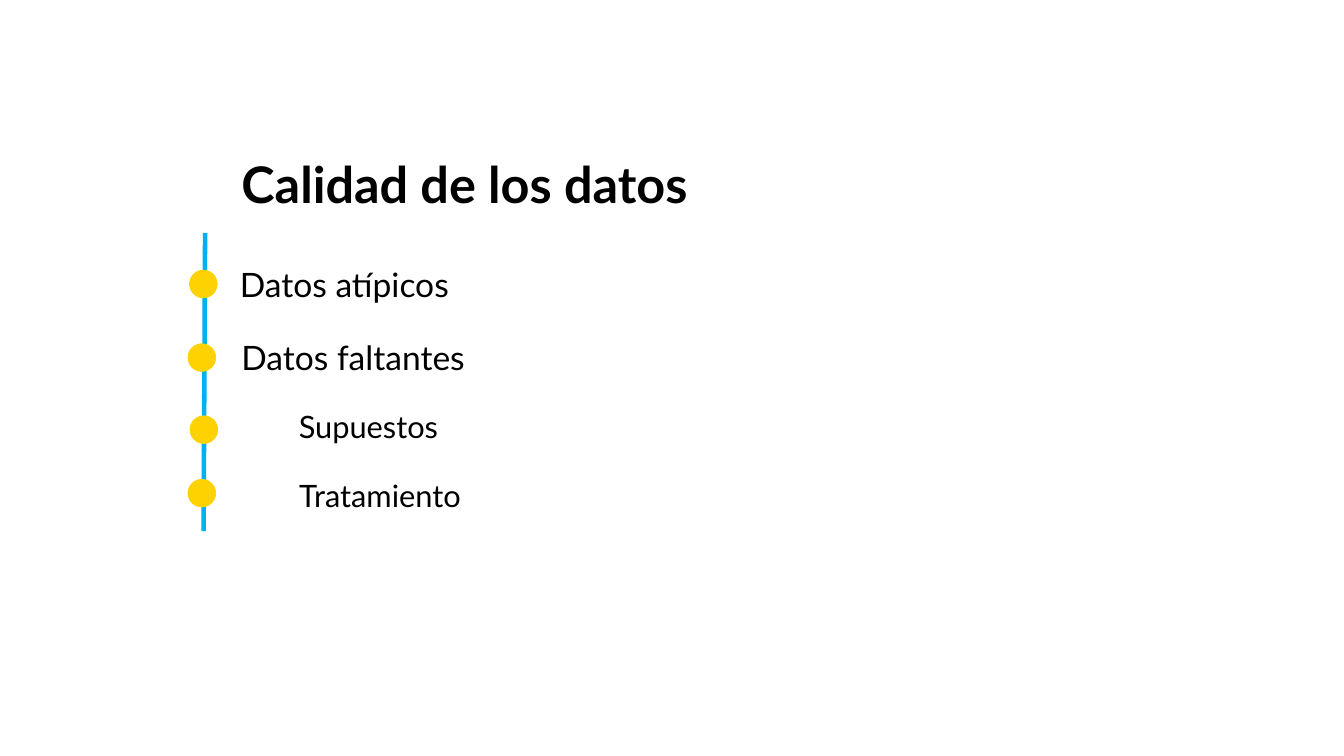
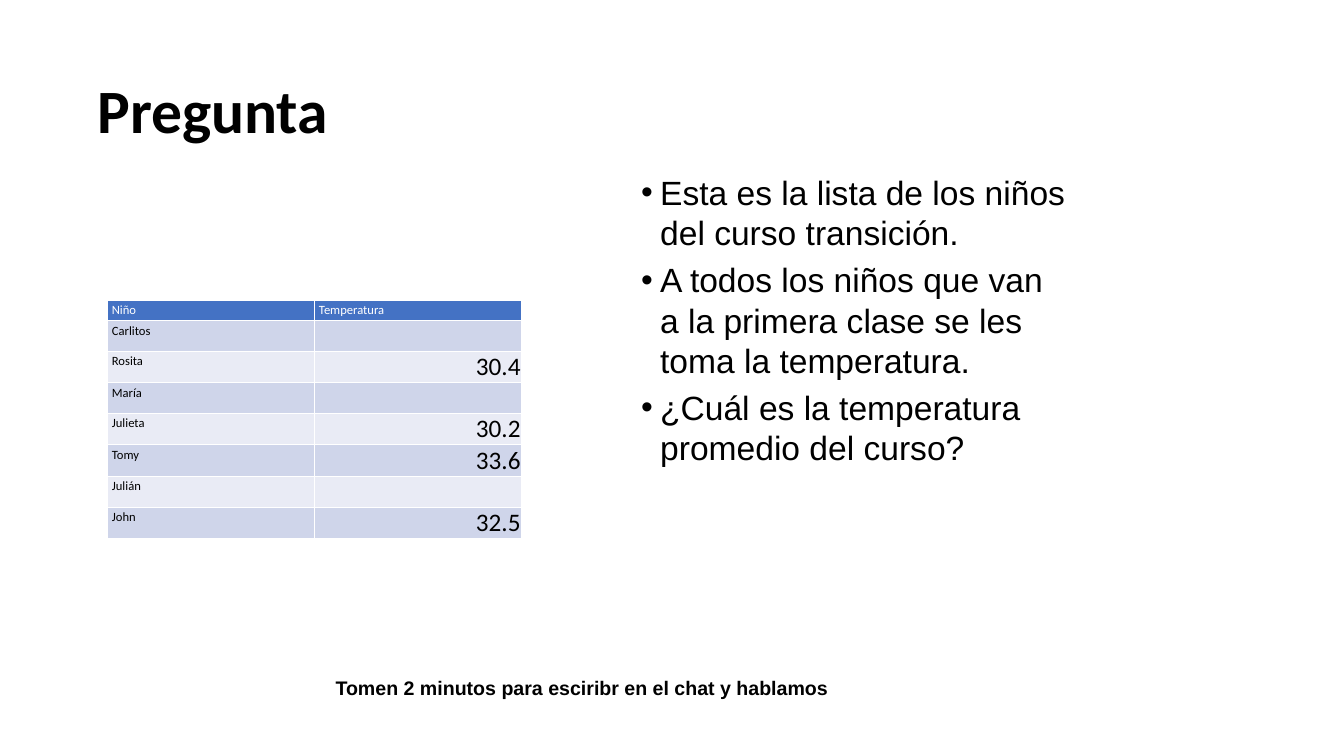
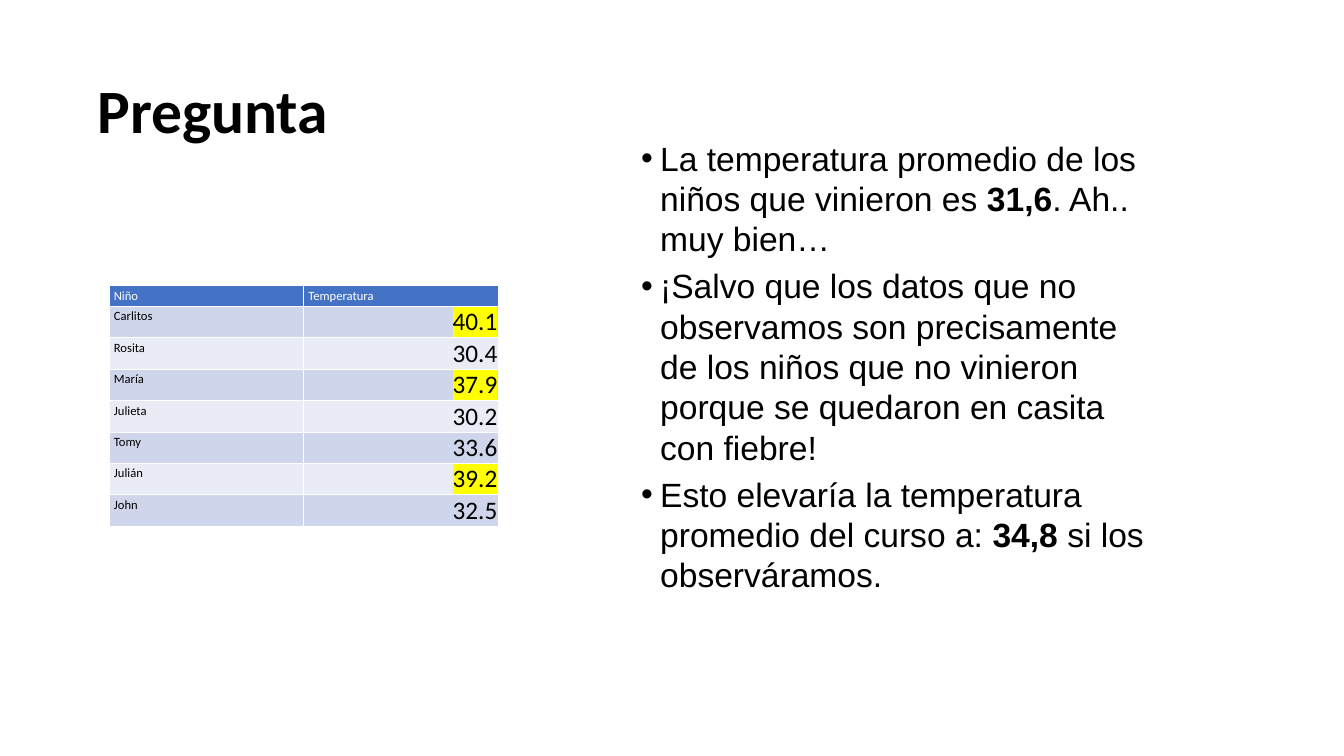
from lxml import etree
from pptx import Presentation
from pptx import util as u
from pptx.dml.color import RGBColor
from pptx.enum import shapes, text
from pptx.oxml import ns

BLACK, WHITE, YELLOW = "000000", "FFFFFF", "FFFF00"
LINE_BLUE, DOT_YELLOW = "00B0F0", "FED200"
HEADER_BLUE, BANDS = "4472C4", ("CFD5EA", "E9EBF5")
CHILDREN = ("Carlitos", "Rosita", "María", "Julieta", "Tomy", "Julián", "John")
PRESENT = {"Rosita": "30.4", "Julieta": "30.2", "Tomy": "33.6", "John": "32.5"}
ABSENT = {"Carlitos": "40.1", "María": "37.9", "Julián": "39.2"}
TITLE_ONLY, TITLE_AND_LIST = 5, 1


def rgb(value):
    """Turn a hex string into a colour."""
    return RGBColor.from_string(value)


def assign(target, values):
    """Set every named attribute on the target."""
    for name, value in values.items():
        setattr(target, name, value)


def add_xml(parent, tag, **attributes):
    """Append one DrawingML element."""
    return etree.SubElement(parent, ns.qn(tag), attributes)


class Lesson:
    """Hold the shared style and the current slide."""

    def __init__(self):
        """Start a wide deck."""
        self.deck = Presentation()
        assign(self.deck, {"slide_width": u.Inches(26.67), "slide_height": u.Inches(15)})
        self.page = None

    def add_page(self, layout):
        """Start a slide on a template layout."""
        self.page = self.deck.slides.add_slide(self.deck.slide_layouts[layout])

    def place(self, box, left, top, width, height):
        """Move and size a shape."""
        sides = {"left": left, "top": top, "width": width, "height": height}
        assign(box, {name: u.Inches(value) for name, value in sides.items()})

    def add_span(self, para, words, size, font, colour=BLACK, bold=False, **layout):
        """Add one formatted span to a paragraph."""
        assign(para, layout)
        span = para.add_run()
        span.text = words
        assign(span.font, {"size": u.Pt(size), "name": font, "bold": bold})
        span.font.color.rgb = rgb(colour)
        return span

    def title(self, words, area, size, font, anchor):
        """Fill the title placeholder."""
        box = self.page.shapes.title
        self.place(box, *area)
        assign(box.text_frame, {"vertical_anchor": anchor, "word_wrap": True,
                                "auto_size": text.MSO_AUTO_SIZE.NONE})
        self.add_span(box.text_frame.paragraphs[0], words, size, font, bold=True,
                      alignment=text.PP_ALIGN.LEFT, line_spacing=0.9)

    def label(self, words, area, size, font, bold=False, align=text.PP_ALIGN.LEFT):
        """Add a text box that grows with its text."""
        box = self.page.shapes.add_textbox(*map(u.Inches, area))
        assign(box.text_frame, {"word_wrap": True,
                                "auto_size": text.MSO_AUTO_SIZE.SHAPE_TO_FIT_TEXT})
        self.add_span(box.text_frame.paragraphs[0], words, size, font, bold=bold,
                      alignment=align)

    def bullets(self, items, area):
        """Fill the body placeholder; odd pieces of an item are bold."""
        box = self.page.placeholders[1]
        self.place(box, *area)
        frame = box.text_frame
        assign(frame, {"word_wrap": True, "auto_size": text.MSO_AUTO_SIZE.NONE,
                       "vertical_anchor": text.MSO_ANCHOR.TOP,
                       "margin_left": u.Inches(0.2), "margin_right": u.Inches(0.2),
                       "margin_top": u.Inches(0.1), "margin_bottom": u.Inches(0.1)})
        for index, pieces in enumerate(items):
            para = frame.add_paragraph() if index else frame.paragraphs[0]
            props = para._p.get_or_add_pPr()
            indent = u.Inches(0.38)
            props.set("marL", str(indent))
            props.set("indent", str(-indent))
            add_xml(props, "a:buFont", typeface="Arial")
            add_xml(props, "a:buChar", char="•")
            para.space_before = u.Pt(9.6 if index else 0)
            for number, piece in enumerate(pieces):
                self.add_span(para, piece, 48, "Arial", bold=number % 2 == 1)

    def line(self, start, end):
        """Draw the timeline."""
        line = self.page.shapes.add_connector(
            shapes.MSO_CONNECTOR.STRAIGHT, *map(u.Inches, start + end))
        line.line.color.rgb = rgb(LINE_BLUE)
        line.line.width = u.Pt(6.5)
        add_xml(line._element.spPr, "a:effectLst")

    def dot(self, left, top):
        """Draw a timeline marker."""
        dot = self.page.shapes.add_shape(
            shapes.MSO_SHAPE.OVAL, *map(u.Inches, (left, top, 0.55, 0.55)))
        dot.shadow.inherit = False
        dot.fill.solid()
        dot.fill.fore_color.rgb = dot.line.color.rgb = rgb(DOT_YELLOW)
        dot.line.width = u.Pt(1)

    def style_cell(self, cell, fill, bottom):
        """Give a cell white borders and a fill."""
        props = cell._tc.get_or_add_tcPr()
        for side in "LRTB":
            width = u.Pt(bottom if side == "B" else 1)
            border = add_xml(props, f"a:ln{side}", w=str(width))
            add_xml(add_xml(border, "a:solidFill"), "a:srgbClr", val=WHITE)
        cell.fill.solid()
        cell.fill.fore_color.rgb = rgb(fill)

    def add_reading(self, cell, value, marked):
        """Put a reading in a cell, highlighted when marked."""
        assign(cell, {"vertical_anchor": text.MSO_ANCHOR.BOTTOM, "margin_bottom": 0,
                      "margin_left": u.Inches(0.01), "margin_right": u.Inches(0.01),
                      "margin_top": u.Inches(0.01)})
        span = self.add_span(cell.text_frame.paragraphs[0], value, 36, "Calibri",
                             alignment=text.PP_ALIGN.RIGHT)
        if marked:
            props = span._r.get_or_add_rPr()
            highlight = add_xml(props, "a:highlight")
            add_xml(highlight, "a:srgbClr", val=YELLOW)
            props.find(ns.qn("a:latin")).addprevious(highlight)

    def temperatures(self, readings, left, top, column):
        """Add the table of children and their readings."""
        frame = self.page.shapes.add_table(
            len(CHILDREN) + 1, 2, *map(u.Inches, (left, top, 2 * column, 4.68)))
        table = frame.table
        for item in table.columns:
            item.width = u.Inches(column)
        for index, row in enumerate(table.rows):
            row.height = u.Inches(0.61 if index else 0.41)
            for cell in row.cells:
                self.style_cell(cell, BANDS[(index - 1) % 2] if index else HEADER_BLUE,
                                1 if index else 3)
        for index, heading in enumerate(("Niño", "Temperatura")):
            self.add_span(table.cell(0, index).text_frame.paragraphs[0],
                          heading, 18, "Calibri", WHITE)
        for index, child in enumerate(CHILDREN, 1):
            self.add_span(table.cell(index, 0).text_frame.paragraphs[0],
                          child, 18, "Calibri")
            if child in readings:
                self.add_reading(table.cell(index, 1), readings[child], child in ABSENT)

    def question(self, items, area, readings, table_place):
        """Build a question slide with its list and table."""
        self.add_page(TITLE_AND_LIST)
        self.title("Pregunta", (1.83, 0.8, 23, 2.9), 88, "Calibri", text.MSO_ANCHOR.MIDDLE)
        self.bullets(items, area)
        self.temperatures(readings, *table_place)


def main():
    """Build the three slides."""
    lesson = Lesson()
    lesson.add_page(TITLE_ONLY)
    lesson.title("Calidad de los datos", (4.69, 3.12, 10.27, 1.12), 72, "Lato",
                 text.MSO_ANCHOR.TOP)
    lesson.line((4.07, 4.62), (4.04, 10.54))
    for dot in ((3.76, 5.36), (3.73, 6.82), (3.77, 8.25), (3.73, 9.51)):
        lesson.dot(*dot)
    for words, area, size, align in (
            ("Datos atípicos", (4.66, 5.19, 12.35, 0.91), 48, text.PP_ALIGN.LEFT),
            ("Datos faltantes", (4.69, 6.64, 12.32, 0.91), 48, text.PP_ALIGN.LEFT),
            ("Supuestos", (5.83, 8.05, 14.28, 0.84), 44, text.PP_ALIGN.LEFT),
            ("Tratamiento", (5.84, 9.4, 9.73, 0.84), 44, text.PP_ALIGN.JUSTIFY)):
        lesson.label(words, area, size, "Lato", align=align)

    lesson.question(
        [["Esta es la lista de los niños del curso transición."],
         ["A todos los niños que van a la primera clase se les toma la temperatura."],
         ["¿Cuál es la temperatura promedio del curso?"]],
        (12.52, 3.31, 8.93, 7.95), PRESENT, (2.12, 5.95, 4.11))
    lesson.label("Tomen 2 minutos para esciribr en el chat y hablamos",
                 (6.56, 13.37, 12.38, 0.57), 28, "Arial", bold=True)

    lesson.question(
        [["La temperatura promedio de los niños que vinieron es ", "31,6",
          ". Ah.. muy bien…"],
         ["¡Salvo que los datos que no observamos son precisamente de los niños que "
          "no vinieron porque se quedaron en casita con fiebre!"],
         ["Esto elevaría la temperatura promedio del curso a: ", "34,8",
          " si los observáramos."]],
        (12.52, 2.63, 10.68, 9.74), PRESENT | ABSENT, (2.16, 5.67, 3.86))
    lesson.deck.save("out.pptx")


if __name__ == "__main__":
    main()
